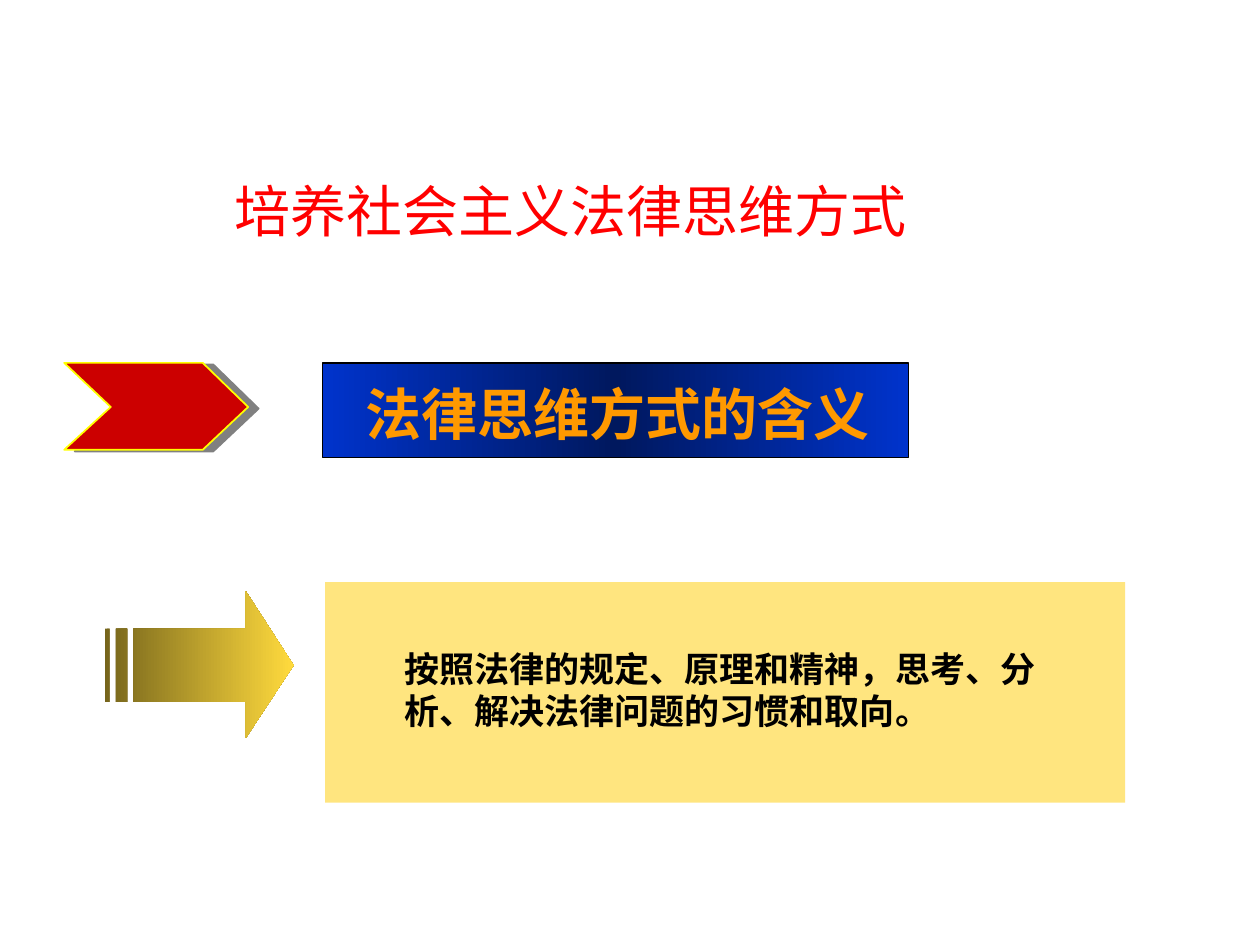
"""Build a slide on the meaning of the legal way of thinking."""
import copy

import lxml.etree
import pptx
import pptx.dml.color
import pptx.enum.shapes
import pptx.enum.text
import pptx.oxml
import pptx.oxml.ns
import pptx.util

presentation = pptx.Presentation()
presentation.slide_width = pptx.util.Inches(10)
presentation.slide_height = pptx.util.Inches(7.5)
slide = presentation.slides.add_slide(presentation.slide_layouts[6])
column = presentation.slide_width // 1000
row = presentation.slide_height // 750
qn = pptx.oxml.ns.qn
align = pptx.enum.text.PP_ALIGN
rectangle = pptx.enum.shapes.MSO_SHAPE.RECTANGLE


def color(value):
    return pptx.dml.color.RGBColor.from_string(value)


def fill_gradient(shape, colors):
    shape.fill.gradient()
    shape.fill.gradient_angle = 0
    stop_list = shape._element.spPr.find(".//" + qn("a:gsLst"))
    for _ in colors[2:]:
        stop_list.append(copy.deepcopy(stop_list[-1]))
    for index, (stop, value) in enumerate(zip(shape.fill.gradient_stops, colors)):
        stop.position = index / (len(colors) - 1)
        stop.color.rgb = color(value)


banner = slide.shapes.add_shape(rectangle, 256 * column, 288 * row, 465 * column, 75 * row)
banner.shadow.inherit = False
fill_gradient(banner, ["0033CC", "00185E", "0033CC"])
banner.line.color.rgb = color("000000")
banner.line.width = pptx.util.Pt(0.75)

panel = slide.shapes.add_shape(rectangle, 258 * column, 462 * row, 635 * column, 175 * row)
panel.shadow.inherit = False
panel.fill.solid()
panel.fill.fore_color.rgb = color("FFCC00")
panel.line.fill.background()
panel_color = panel._element.spPr.find(".//" + qn("a:srgbClr"))
lxml.etree.SubElement(panel_color, qn("a:alpha"), val="50000")

builder = slide.shapes.build_freeform(51, 288, scale=(column, row))
builder.add_line_segments([(161, 288), (197, 323), (161, 357), (51, 357), (88, 323)])
chevron = builder.convert_to_shape()
chevron.fill.solid()
chevron.fill.fore_color.rgb = color("CC0000")
chevron.line.color.rgb = color("FFFF00")
chevron.line.width = pptx.util.Pt(1)
chevron._element.spPr.append(pptx.oxml.parse_xml(
    f'<a:effectLst {pptx.oxml.ns.nsdecls("a")}>'
    f'<a:outerShdw blurRad="0" dist="{pptx.util.Pt(6.1)}" dir="{9 * 60000}" algn="ctr" rotWithShape="0">'
    '<a:srgbClr val="808080"/></a:outerShdw></a:effectLst>'))

builder = slide.shapes.build_freeform(195, 469, scale=(column, row))
builder.add_line_segments(
    [(195, 499), (106, 499), (106, 557), (195, 557), (195, 586), (233, 528)])
for left, right in [(92, 101), (83, 87)]:
    builder.move_to(left, 499)
    builder.add_line_segments([(left, 557), (right, 557), (right, 499)])
arrow = builder.convert_to_shape()
arrow.shadow.inherit = False
fill_gradient(arrow, ["76651C", "FFDA3D"])
arrow.line.fill.background()

texts = [
    ("培养社会主义法律思维方式", 67, 123, 772, 87, 32, "Arial", "FF0000", False, align.CENTER),
    ("法律思维方式的含义", 280, 296, 473, 64, 32, "Times New Roman", "FF9900", True, align.JUSTIFY),
    ("按照法律的规定、原理和精神，思考、分析、解决法律问题的习惯和取向。",
     311, 509, 535, 77, 20, "Noto Sans CJK SC", "000000", True, align.LEFT),
]
for text, left, top, width, height, size, font_name, font_color, bold, alignment in texts:
    box = slide.shapes.add_textbox(left * column, top * row, width * column, height * row)
    frame = box.text_frame
    frame.word_wrap = True
    frame.vertical_anchor = pptx.enum.text.MSO_ANCHOR.MIDDLE
    paragraph = frame.paragraphs[0]
    paragraph.text = text
    paragraph.alignment = alignment
    paragraph.font.size = pptx.util.Pt(size)
    paragraph.font.name = font_name
    paragraph.font.bold = bold
    paragraph.font.color.rgb = color(font_color)

presentation.save("out.pptx")
